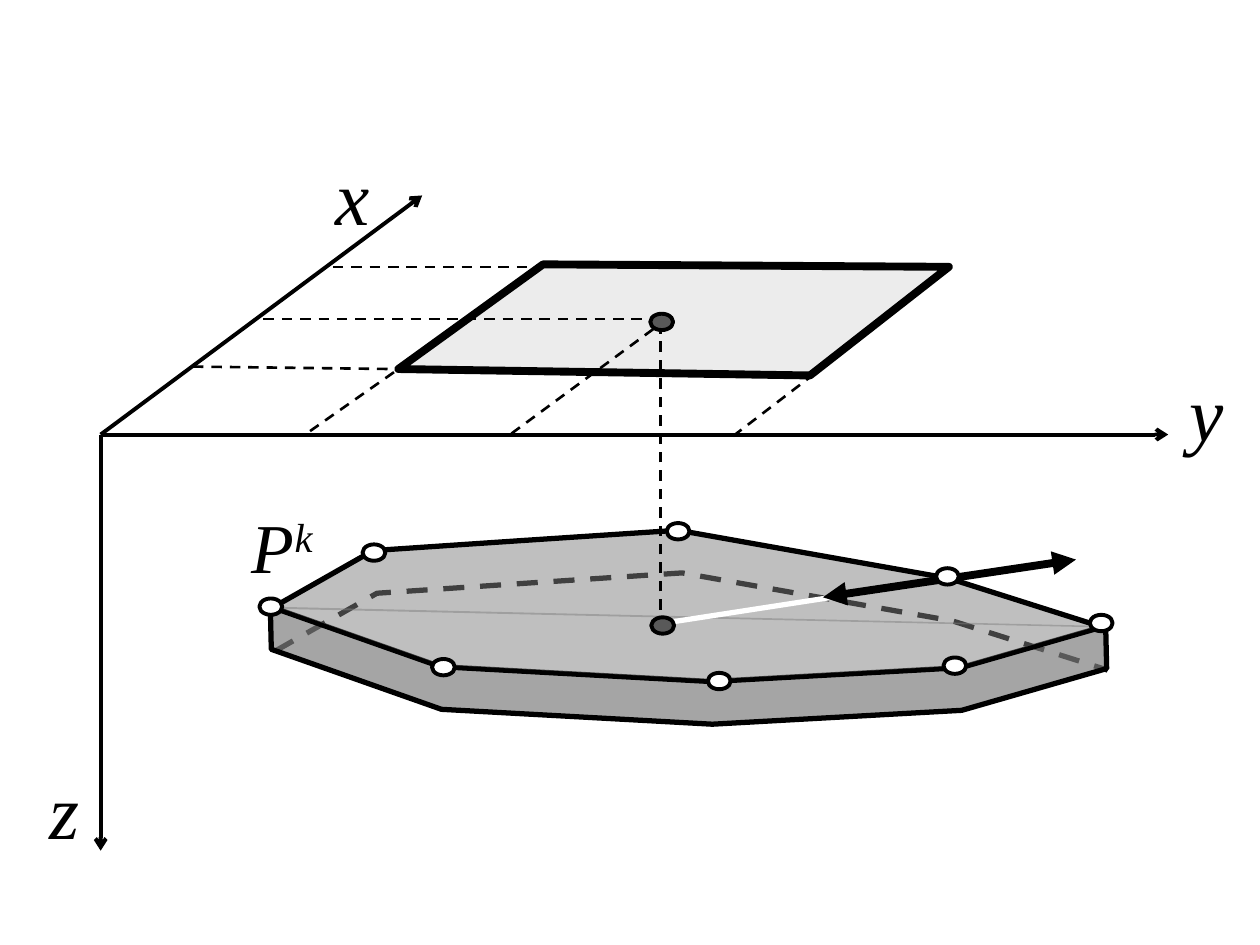
from dataclasses import dataclass

from lxml import etree
from pptx import Presentation
from pptx.dml.color import RGBColor
from pptx.enum.dml import MSO_LINE
from pptx.enum.shapes import MSO_CONNECTOR, MSO_SHAPE
from pptx.enum.text import MSO_AUTO_SIZE
from pptx.oxml.ns import qn
from pptx.util import Cm, Pt


@dataclass(frozen=True)
class Theme:
    ink: str = "000000"
    paper: str = "FFFFFF"
    grey: str = "808080"
    centre: str = "595959"
    font: str = "Times New Roman"
    axis_size: int = 44
    patch_size: int = 40
    guide: float = 1.5
    thin: float = 2.25
    edge: float = 3
    heavy: float = 4.5


class Diagram:
    def __init__(self, slide, theme):
        self.shapes = slide.shapes
        self.theme = theme

    def _stroke(self, line, width, color, dashed):
        line.color.rgb = RGBColor.from_string(color)
        line.width = Pt(width)
        if dashed:
            line.dash_style = MSO_LINE.DASH

    def polygon(self, points, width, opacity=None, closed=False, dashed=False):
        """Draw an outline; opacity is the grey fill in percent, None for no fill."""
        start, *rest = [(Cm(x), Cm(y)) for x, y in points]
        builder = self.shapes.build_freeform(*start)
        builder.add_line_segments(rest, close=closed)
        outline = builder.convert_to_shape()
        outline.shadow.inherit = False
        if opacity is None:
            outline.fill.background()
        else:
            outline.fill.solid()
            outline.fill.fore_color.rgb = RGBColor.from_string(self.theme.grey)
            color = outline.fill._xPr.find(qn("a:solidFill"))[0]
            etree.SubElement(color, qn("a:alpha"), val=str(opacity * 1000))
        self._stroke(outline.line, width, self.theme.ink, dashed)

    def line(self, start, end, width, color=None, dashed=False, head=None, tail=None):
        connector = self.shapes.add_connector(
            MSO_CONNECTOR.STRAIGHT, *(Cm(value) for value in (*start, *end)))
        self._stroke(connector.line, width, color or self.theme.ink, dashed)
        ln = connector.line._get_or_add_ln()
        for tag, arrow in (("a:headEnd", head), ("a:tailEnd", tail)):
            if arrow:
                etree.SubElement(ln, qn(tag), type=arrow)
        etree.SubElement(connector._element.spPr, qn("a:effectLst"))

    def guide(self, start, end):
        self.line(start, end, self.theme.guide, dashed=True)

    def axis(self, start, end):
        self.line(start, end, self.theme.thin, tail="arrow")

    def dot(self, centre, color):
        width, height = 0.46, 0.33
        x, y = centre
        marker = self.shapes.add_shape(
            MSO_SHAPE.OVAL, Cm(x - width / 2), Cm(y - height / 2), Cm(width), Cm(height))
        marker.shadow.inherit = False
        marker.fill.solid()
        marker.fill.fore_color.rgb = RGBColor.from_string(color)
        self._stroke(marker.line, self.theme.thin, self.theme.ink, False)

    def label(self, box, text, size, superscript=None):
        frame = self.shapes.add_textbox(*(Cm(value) for value in box)).text_frame
        frame.word_wrap = True
        frame.auto_size = MSO_AUTO_SIZE.SHAPE_TO_FIT_TEXT
        frame.margin_left = frame.margin_right = Cm(0.05)
        frame.margin_top = frame.margin_bottom = Cm(0.03)
        paragraph = frame.paragraphs[0]
        paragraph.text = text
        if superscript:
            raised = paragraph.add_run()
            raised.text = superscript
            raised.font._element.set("baseline", "30000")
        for run in paragraph.runs:
            run.font.name = self.theme.font
            run.font.size = Pt(size)
            run.font.italic = True
            run.font.color.rgb = RGBColor.from_string(self.theme.ink)


SURFACE = [(8.03, 7.44), (10.95, 5.33), (19.13, 5.38), (16.33, 7.57)]
BACK_RIM = [(5.46, 12.27), (7.52, 11.1), (10.49, 10.9),
            (13.67, 10.69), (19.13, 11.66), (22.25, 12.65)]
FRONT_RIM = [(5.45, 12.23), (8.88, 13.44), (14.34, 13.74), (19.37, 13.46), (22.29, 12.62)]
THICKNESS = 0.86
ORIGIN = (2.03, 8.76)
GUIDES = [
    ((13.31, 12.29), (13.31, 6.6)),
    ((10.31, 8.74), (13.31, 6.53)),
    ((5.31, 6.43), (13.11, 6.43)),
    ((6.25, 8.69), (9.3, 6.55)),
    ((3.89, 7.39), (7.98, 7.44)),
    ((6.71, 5.38), (10.9, 5.38)),
    ((14.78, 8.79), (17.73, 6.53)),
]
VERTICES = [(8.94, 13.45), (7.54, 11.14), (13.67, 10.71), (19.25, 13.42),
            (5.46, 12.23), (22.2, 12.56), (14.5, 13.73), (19.1, 11.62)]
CENTRES = [(13.34, 6.49), (13.36, 12.61)]
AXIS_LABELS = {
    "x": (6.71, 2.97, 1.35, 1.93),
    "z": (0.94, 15.34, 3.89, 1.93),
    "y": (23.93, 7.32, 1.57, 1.93),
}


def lowered(points, shift=0.0):
    return [(x + shift, y + THICKNESS) for x, y in points]


def main():
    presentation = Presentation()
    presentation.slide_width, presentation.slide_height = Cm(25.4), Cm(19.05)
    theme = Theme()
    diagram = Diagram(presentation.slides.add_slide(presentation.slide_layouts[6]), theme)

    diagram.polygon(SURFACE, theme.heavy, opacity=15, closed=True)
    diagram.polygon(lowered(BACK_RIM, 0.08), theme.edge, dashed=True)
    diagram.polygon(BACK_RIM, theme.edge, opacity=50)
    side = FRONT_RIM[:1] + lowered(FRONT_RIM, 0.02) + FRONT_RIM[:0:-1]
    diagram.polygon(side, theme.edge, opacity=70, closed=True)
    diagram.polygon(FRONT_RIM, theme.thin, opacity=50)

    for tip in ((2.03, 17.15), (23.55, 8.76), (8.51, 3.94)):
        diagram.axis(ORIGIN, tip)
    for name, box in AXIS_LABELS.items():
        diagram.label(box, name, theme.axis_size)
    diagram.label((5.03, 10.13, 2.08, 1.78), "P", theme.patch_size, superscript="k")

    for start, end in GUIDES:
        diagram.guide(start, end)
    diagram.line((13.46, 12.55), (18.92, 11.71), theme.edge, color=theme.paper)
    diagram.line((16.59, 12.04), (21.69, 11.28), theme.heavy,
                 head="triangle", tail="triangle")
    for centre in CENTRES:
        diagram.dot(centre, theme.centre)
    for vertex in VERTICES:
        diagram.dot(vertex, theme.paper)

    presentation.save("out.pptx")


if __name__ == "__main__":
    main()
